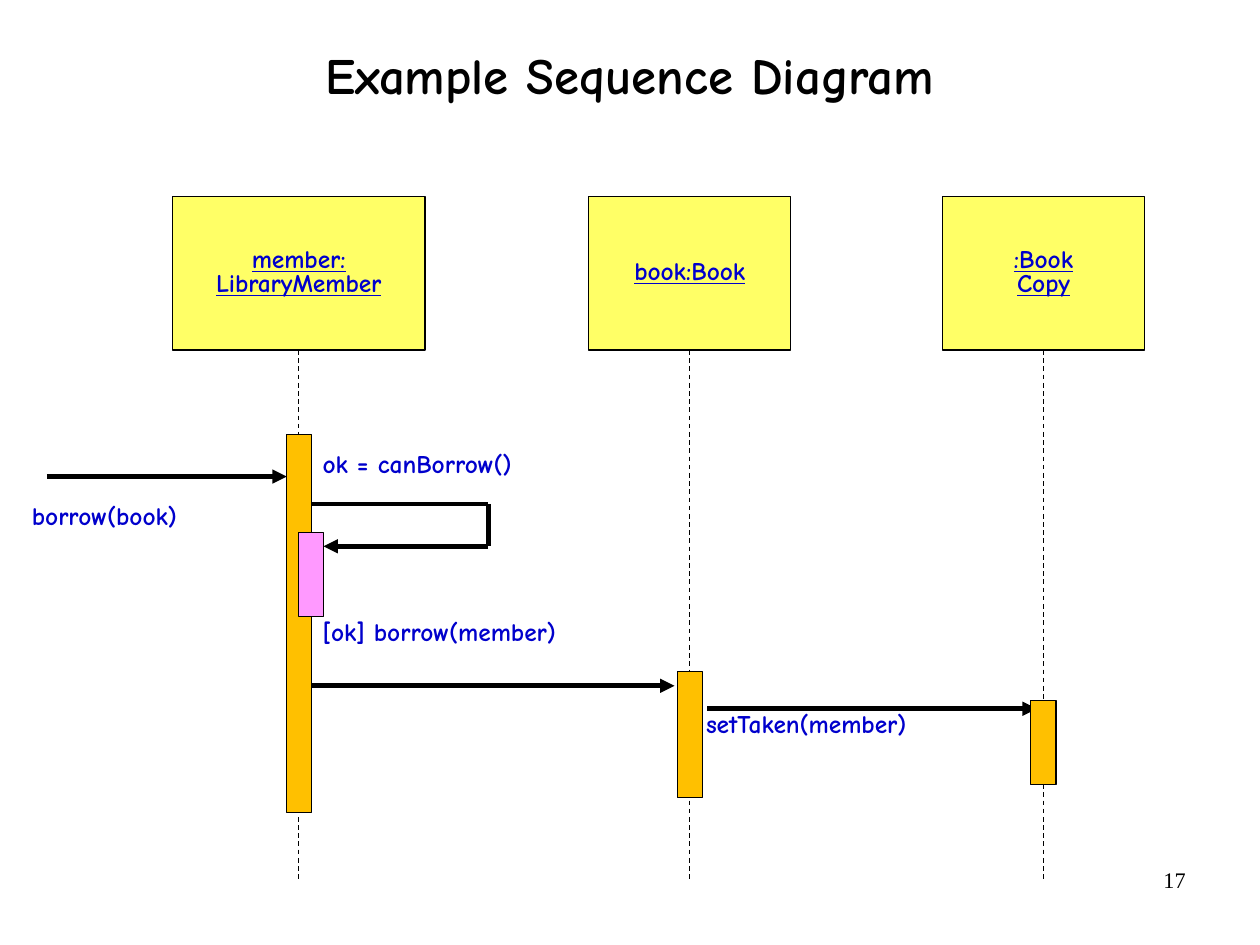
from itertools import pairwise

from pptx import Presentation
from pptx.dml.color import RGBColor
from pptx.enum.dml import MSO_LINE
from pptx.enum.shapes import MSO_CONNECTOR, MSO_SHAPE
from pptx.enum.text import MSO_ANCHOR, PP_ALIGN
from pptx.oxml.ns import qn
from pptx.oxml.xmlchemy import OxmlElement
from pptx.util import Cm, Pt

BLACK = RGBColor(0x00, 0x00, 0x00)
BLUE = RGBColor(0x00, 0x00, 0xCC)
YELLOW = RGBColor(0xFF, 0xFF, 0x66)
ORANGE = RGBColor(0xFF, 0xC0, 0x00)
PINK = RGBColor(0xFF, 0x99, 0xFF)

RECTANGLE = MSO_SHAPE.RECTANGLE
STRAIGHT = MSO_CONNECTOR.STRAIGHT
DASH = MSO_LINE.DASH
LEFT, CENTER, RIGHT = PP_ALIGN.LEFT, PP_ALIGN.CENTER, PP_ALIGN.RIGHT
TOP, MIDDLE = MSO_ANCHOR.TOP, MSO_ANCHOR.MIDDLE

# Lengths in centimetres
HEAD_TOP, HEAD_HEIGHT = 4.36, 3.42
LIFELINE_END = 19.6
BAR_WIDTH = 0.56
MEMBER_X, BOOK_X, COPY_X = 6.64, 15.33, 23.19
MEMBER_EDGE = MEMBER_X + BAR_WIDTH / 2


def write_text(shape, text, size=16, font="Comic Neue", color=BLUE, bold=True,
               underline=False, align=LEFT, anchor=TOP, spacing=0.8):
    frame = shape.text_frame
    frame.word_wrap = True
    frame.vertical_anchor = anchor
    paragraph = frame.paragraphs[0]
    paragraph.text = text
    paragraph.alignment = align
    paragraph.line_spacing = spacing
    for run in paragraph.runs:
        run.font.name = font
        run.font.size = Pt(size)
        run.font.bold = bold
        run.font.underline = underline
        run.font.color.rgb = color
    for line_break in paragraph._p.findall(qn("a:br")):
        properties = OxmlElement("a:rPr")
        properties.set("sz", str(size * 100))
        line_break.append(properties)


def add_label(slide, left, top, width, text, height=1.04, **text_format):
    label = slide.shapes.add_textbox(Cm(left), Cm(top), Cm(width), Cm(height))
    write_text(label, text, **text_format)


def add_box(slide, left, top, width, height, fill):
    box = slide.shapes.add_shape(RECTANGLE, Cm(left), Cm(top), Cm(width), Cm(height))
    box.shadow.inherit = False
    box.fill.solid()
    box.fill.fore_color.rgb = fill
    box.line.color.rgb = BLACK
    box.line.width = Pt(0.75)
    return box


def add_line(slide, start, end, width):
    connector = slide.shapes.add_connector(STRAIGHT, *map(Cm, start + end))
    connector.line.color.rgb = BLACK
    connector.line.width = Pt(width)
    connector._element.spPr.append(OxmlElement("a:effectLst"))
    return connector


def add_message(slide, *points):
    """Draw a thick line through the points, with an arrowhead at the last one."""
    for start, end in pairwise(points):
        connector = add_line(slide, start, end, 3)
    arrowhead = OxmlElement("a:tailEnd")
    arrowhead.set("type", "triangle")
    connector.line._get_or_add_ln().append(arrowhead)


def add_participant(slide, center, width, name):
    """Draw a named box and the dashed lifeline below it."""
    head = add_box(slide, center - width / 2, HEAD_TOP, width, HEAD_HEIGHT, YELLOW)
    write_text(head, name, underline=True, align=CENTER, anchor=MIDDLE)
    lifeline = add_line(slide, (center, HEAD_TOP + HEAD_HEIGHT), (center, LIFELINE_END), 0.75)
    lifeline.line.dash_style = DASH


def add_activation(slide, center, top, height, fill=ORANGE):
    add_box(slide, center - BAR_WIDTH / 2, top, BAR_WIDTH, height, fill)


def add_title(slide, left, top, width, height, text):
    title = slide.shapes.title
    title.left, title.top, title.width, title.height = map(Cm, (left, top, width, height))
    frame = title.text_frame
    frame.margin_left = frame.margin_right = frame.margin_top = frame.margin_bottom = 0
    write_text(title, text, size=32, color=BLACK, align=CENTER, anchor=MIDDLE, spacing=0.88)


def add_sequence_diagram(slide):
    add_participant(slide, MEMBER_X, 5.61, "member:\vLibraryMember")
    add_participant(slide, BOOK_X, 4.49, "book:Book")
    add_participant(slide, COPY_X, 4.49, ":Book\vCopy")

    add_message(slide, (1.04, 10.59), (6.37, 10.59))
    add_activation(slide, MEMBER_X, 9.65, 8.4)
    add_message(slide, (MEMBER_EDGE, 11.2), (10.85, 11.2), (10.85, 12.14), (7.19, 12.14))
    add_activation(slide, MEMBER_EDGE, 11.84, 1.86, PINK)
    add_message(slide, (MEMBER_EDGE, 15.24), (14.99, 15.24))
    add_activation(slide, BOOK_X, 14.93, 2.8)
    add_message(slide, (15.72, 15.75), (23.04, 15.75))
    add_activation(slide, COPY_X, 15.57, 1.86)

    add_label(slide, 0.46, 11.13, 5.64, "borrow(book)")
    add_label(slide, MEMBER_EDGE, 9.96, 7.21, "ok = canBorrow()")
    add_label(slide, MEMBER_EDGE, 13.69, 8.71, "[ok] borrow(member)")
    add_label(slide, 15.44, 15.75, 7.72, "setTaken(member)")


def main():
    presentation = Presentation()
    presentation.slide_width, presentation.slide_height = Cm(28), Cm(21)
    slide = presentation.slides.add_slide(presentation.slide_layouts[5])
    add_title(slide, 2.06, 0, 23.88, 3.48, "Example Sequence Diagram")
    add_sequence_diagram(slide)
    add_label(slide, 20.07, 19.13, 6.53, "17", height=1.45, size=14, font="Times New Roman",
              color=BLACK, bold=False, align=RIGHT, spacing=1.0)
    presentation.save("out.pptx")


if __name__ == "__main__":
    main()
